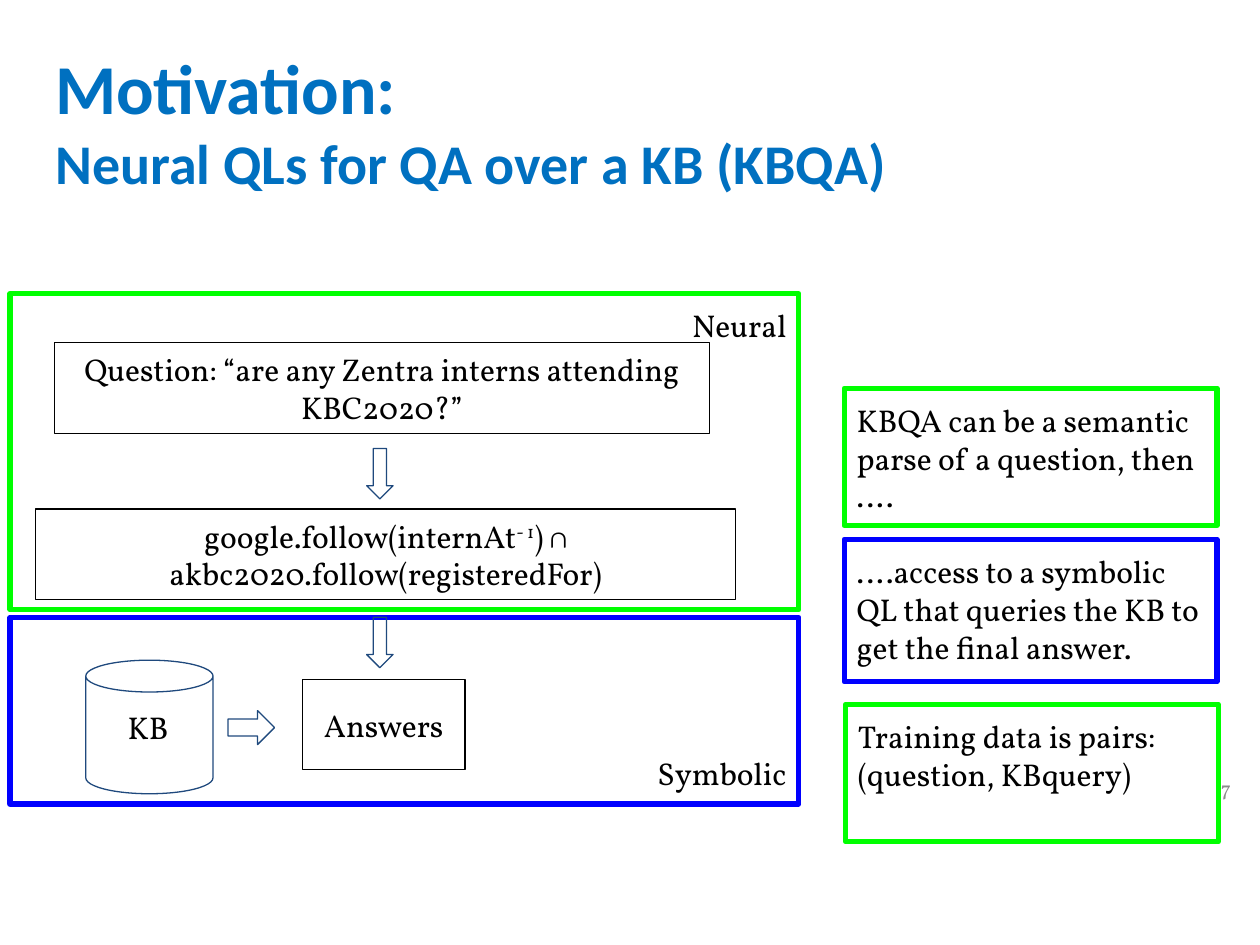
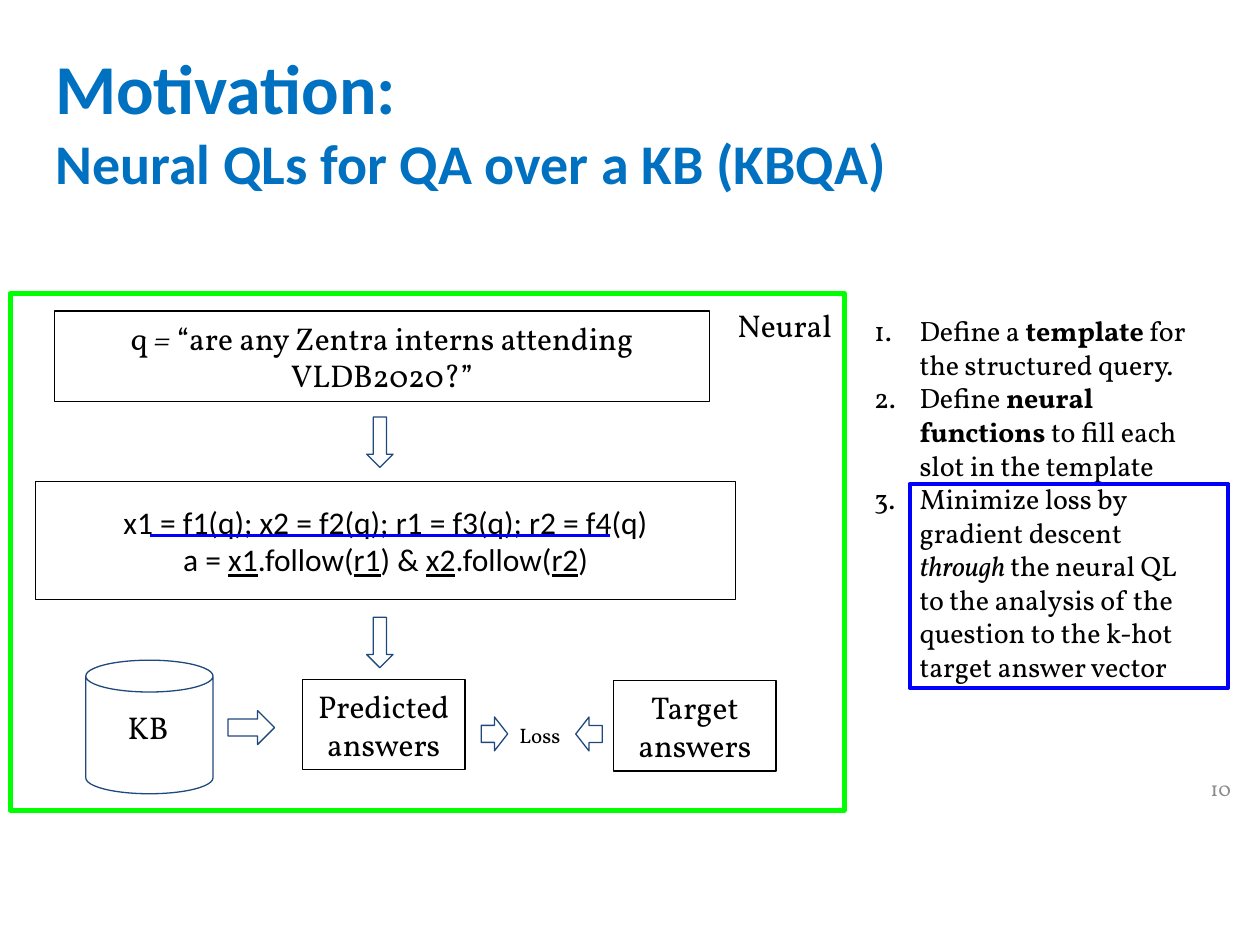
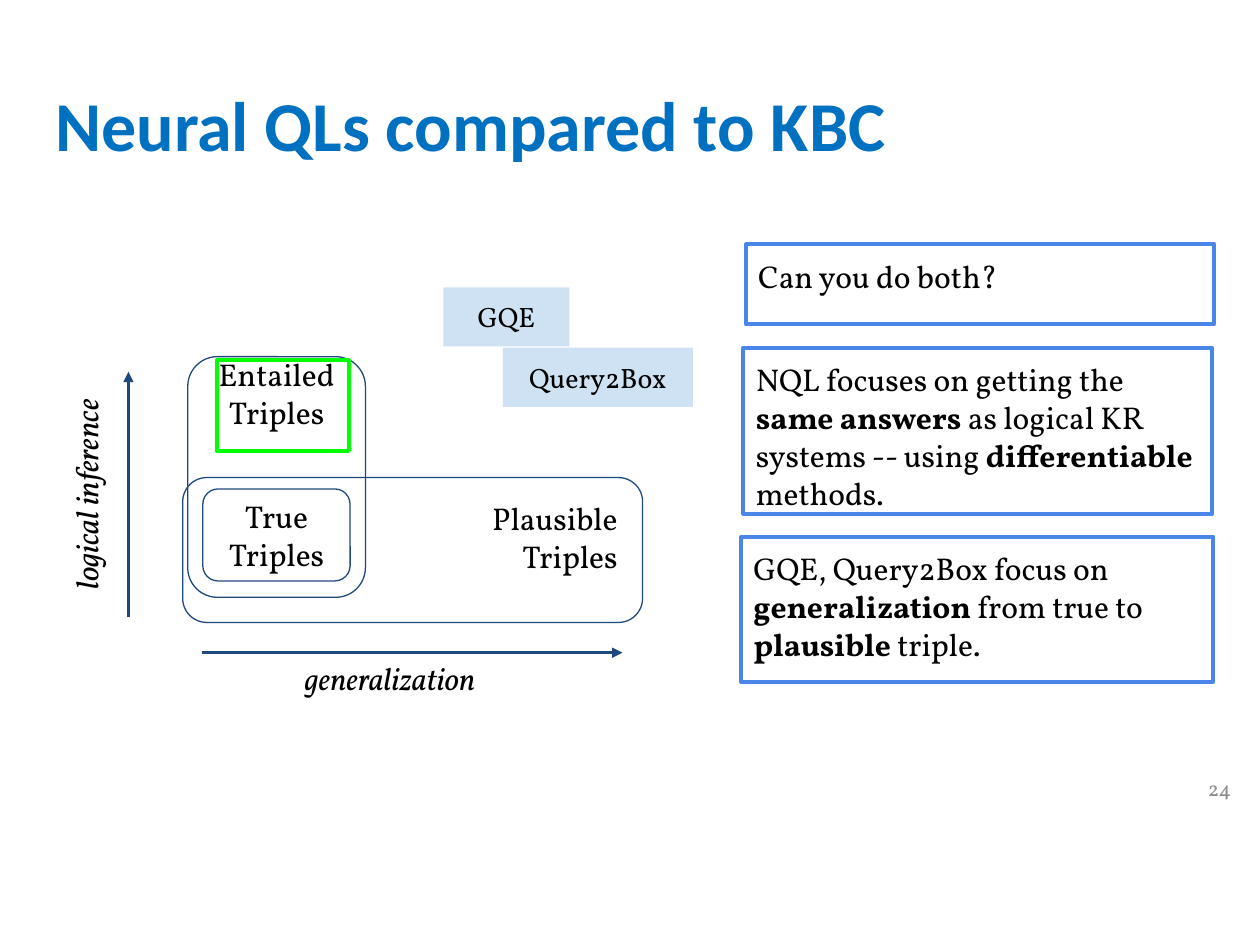
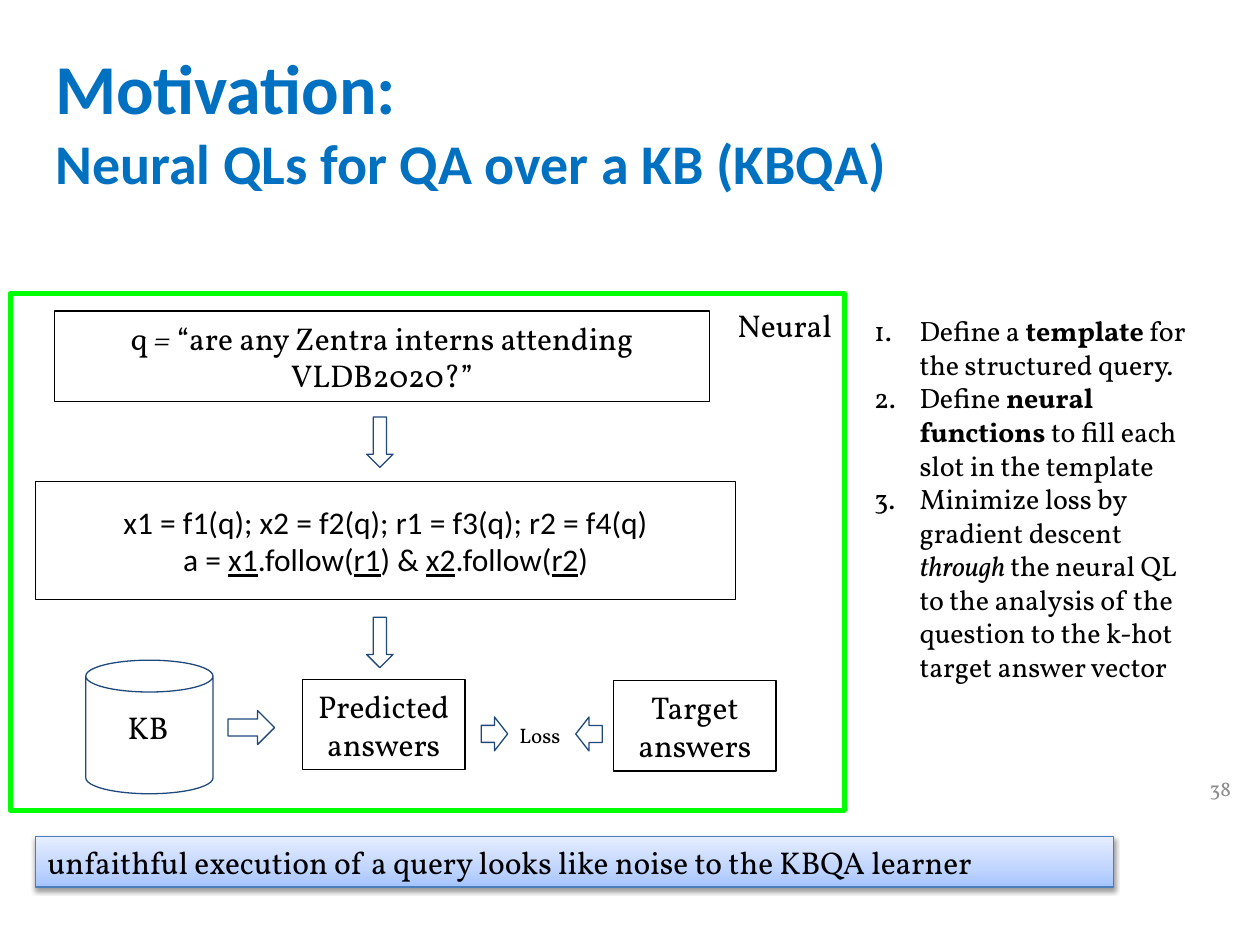
from dataclasses import dataclass
from typing import NamedTuple, Optional

from lxml import etree
from pptx import Presentation
from pptx.dml.color import RGBColor
from pptx.enum.shapes import MSO_CONNECTOR, MSO_SHAPE
from pptx.enum.text import MSO_ANCHOR, PP_ALIGN
from pptx.oxml.ns import qn
from pptx.util import Pt

BLACK = RGBColor(0x00, 0x00, 0x00)
TITLE_BLUE = RGBColor(0x00, 0x70, 0xC0)
NAVY = RGBColor(0x1F, 0x49, 0x7D)
GREEN = RGBColor(0x00, 0xFF, 0x00)
BLUE = RGBColor(0x00, 0x00, 0xFF)
CORNFLOWER = RGBColor(0x4A, 0x86, 0xE8)
PALE_BLUE = RGBColor(0xCF, 0xE2, 0xF3)
GREY = RGBColor(0x8C, 0x8C, 0x8C)
BANNER_LINE = RGBColor(0x4B, 0x7E, 0xBC)
BANNER_STOPS = (
    (0, RGBColor(0xA4, 0xC4, 0xFF)),
    (35, RGBColor(0xBF, 0xD4, 0xFF)),
    (100, RGBColor(0xE6, 0xEE, 0xFF)),
)

HEAD_FONT = "Calibri"
BODY_FONT = "Vollkorn"
INSET = 7.2
THIN, MEDIUM, THICK = 0.75, 2.25, 3

LEFT, CENTER, RIGHT = PP_ALIGN.LEFT, PP_ALIGN.CENTER, PP_ALIGN.RIGHT
TOP, MIDDLE, BOTTOM = MSO_ANCHOR.TOP, MSO_ANCHOR.MIDDLE, MSO_ANCHOR.BOTTOM
RECT, ROUND = MSO_SHAPE.RECTANGLE, MSO_SHAPE.ROUNDED_RECTANGLE
DOWN, ACROSS = MSO_SHAPE.DOWN_ARROW, MSO_SHAPE.RIGHT_ARROW


class Box(NamedTuple):
    """Left, top, width and height in points."""
    x: float
    y: float
    w: float
    h: float

    def lengths(self):
        return [Pt(v) for v in self]


@dataclass(frozen=True)
class Run:
    text: str
    bold: bool = False
    italic: bool = False
    underline: bool = False
    raised: bool = False
    size: Optional[float] = None


@dataclass(frozen=True)
class Panel:
    """An outlined rectangle with its paragraphs."""
    box: Box
    line: RGBColor
    paragraphs: tuple
    width: float = THICK
    align: PP_ALIGN = LEFT
    anchor: MSO_ANCHOR = TOP
    font: str = BODY_FONT


BREAK = Run("\n")
TITLE_BOX = Box(24.5, 18, 671, 106.6)
PAGE_BOX = Box(667.4, 434.9, 43.2, 31)
MOTIVATION = (Run("Motivation:"), BREAK,
              Run("Neural QLs for QA over a KB (KBQA)", size=32))
FLOW_X = 209.5
LOWER_ARROW_Y = 352.8
ANSWER_BOX = Box(172.8, 388.1, 92.9, 51.8)

STEPS = (
    ("Define a ", Run("template", bold=True), " for the structured query."),
    ("Define ", Run("neural functions", bold=True),
     " to fill each slot in the template"),
    ("Minimize loss by gradient descent ", Run("through ", italic=True),
     "the neural QL to the analysis of the question to the k-hot target answer vector"),
)


def write(sp, paragraphs: tuple, *, size: float = 18, font: str = BODY_FONT,
          color: RGBColor = BLACK, bold: bool = False, italic: bool = False,
          align: PP_ALIGN = LEFT, anchor: MSO_ANCHOR = TOP,
          inset_y: float = INSET, numbered: bool = False) -> None:
    """Fill a shape; each paragraph is a string or a tuple of strings and Runs."""
    tf = sp.text_frame
    tf.word_wrap = True
    tf.vertical_anchor = anchor
    tf.margin_left = tf.margin_right = Pt(INSET)
    tf.margin_top = tf.margin_bottom = Pt(inset_y)
    for i, parts in enumerate(paragraphs):
        p = tf.paragraphs[0] if i == 0 else tf.add_paragraph()
        p.alignment = align
        if numbered:
            pPr = p._p.get_or_add_pPr()
            pPr.set("marL", str(Pt(36)))
            pPr.set("indent", str(-Pt(25.9)))
            etree.SubElement(pPr, qn("a:buAutoNum"), type="arabicPeriod")
        for part in (parts,) if isinstance(parts, str) else parts:
            run = Run(part) if isinstance(part, str) else part
            if run is BREAK:
                p.add_line_break()
                continue
            r = p.add_run()
            r.text = run.text
            f = r.font
            f.name, f.size, f.color.rgb = font, Pt(run.size or size), color
            f.bold, f.italic = bold or run.bold, italic or run.italic
            f.underline = run.underline
            if run.raised:
                r._r.get_or_add_rPr().set("baseline", "30000")


def add_label(s, box: Box, *paragraphs, rotation: float = 0, **fmt):
    sp = s.shapes.add_textbox(*box.lengths())
    sp.rotation = rotation
    write(sp, paragraphs, **fmt)
    return sp


def add_figure(s, kind: MSO_SHAPE, box: Box, line: Optional[RGBColor] = NAVY,
               width: float = THIN, fill: Optional[RGBColor] = None,
               rotation: float = 0):
    sp = s.shapes.add_shape(kind, *box.lengths())
    sp.shadow.inherit = False
    sp.rotation = rotation
    if fill is None:
        sp.fill.background()
    else:
        sp.fill.solid()
        sp.fill.fore_color.rgb = fill
    if line is None:
        sp.line.fill.background()
    else:
        sp.line.color.rgb = line
        sp.line.width = Pt(width)
    return sp


def add_panel(s, panel: Panel) -> None:
    sp = add_figure(s, RECT, panel.box, panel.line, panel.width)
    write(sp, panel.paragraphs, align=panel.align, anchor=panel.anchor,
          font=panel.font)


def add_node(s, box: Box, *paragraphs, font: str = BODY_FONT) -> None:
    """A thin black box of the query flow."""
    add_panel(s, Panel(box, BLACK, paragraphs, THIN, CENTER, MIDDLE, font))


def add_line(s, x1: float, y1: float, x2: float, y2: float, color: RGBColor,
             width: float, arrow: bool = False) -> None:
    cn = s.shapes.add_connector(MSO_CONNECTOR.STRAIGHT,
                                Pt(x1), Pt(y1), Pt(x2), Pt(y2))
    cn.line.color.rgb = color
    cn.line.width = Pt(width)
    if arrow:
        etree.SubElement(cn.line._get_or_add_ln(), qn("a:tailEnd"), type="triangle")
    etree.SubElement(cn._element.spPr, qn("a:effectLst"))


def add_title(s, parts, box: Box = TITLE_BOX) -> None:
    add_label(s, box, parts, size=40, font=HEAD_FONT, color=TITLE_BLUE, bold=True)


def add_page_number(s, number: int) -> None:
    add_label(s, PAGE_BOX, str(number), size=12, color=GREY, align=RIGHT,
              anchor=MIDDLE)


def add_down_arrow(s, y: float) -> None:
    add_figure(s, DOWN, Box(FLOW_X, y, 15.1, 28.8))


def add_knowledge_base(s) -> None:
    add_figure(s, MSO_SHAPE.CAN, Box(49, 377.3, 72.7, 76.3))
    add_figure(s, ACROSS, Box(130.3, 406.1, 26.6, 19.4))
    add_label(s, Box(54.7, 389.5, 59.8, 51.8), "KB", align=CENTER, anchor=MIDDLE)


def add_learning_flow(s) -> None:
    """The fully neural pipeline with its loss, and the numbered steps."""
    add_panel(s, Panel(Box(5.8, 167.8, 476.6, 295.2), GREEN, ("Neural",), align=RIGHT))
    add_label(s, Box(482.4, 172.1, 213.1, 232.6), *STEPS, size=16, numbered=True)
    add_node(s, Box(31, 177.8, 374.4, 51.8),
             ("q", Run(" =", italic=True),
              " “are any Zentra interns attending VLDB2020?”"))
    add_down_arrow(s, 238.3)
    x1, x2, r1, r2 = (Run(v, underline=True) for v in ("x1", "x2", "r1", "r2"))
    add_node(s, Box(20.2, 275, 400.3, 67.7),
             "x1 = f1(q); x2 = f2(q); r1 = f3(q); r2 = f4(q)",
             ("a = ", x1, ".follow(", r1, ") & ", x2, ".follow(", r2, ")"),
             font=HEAD_FONT)
    add_knowledge_base(s)
    add_node(s, ANSWER_BOX, "Predicted answers")
    add_down_arrow(s, LOWER_ARROW_Y)
    add_node(s, Box(350.6, 388.8, 92.9, 51.8), "Target answers")
    for x, rotation in ((275, 0), (329, 180)):
        add_figure(s, ACROSS, Box(x, 409.7, 15.1, 19.4), rotation=rotation)
    add_label(s, Box(287.3, 405.4, 42.5, 28.8), "Loss", size=12, align=CENTER)


def add_banner(s, text: str) -> None:
    """A strip with a three-stop gradient and a soft shadow below."""
    sp = add_figure(s, RECT, Box(20.2, 478.1, 616.3, 28.8), BANNER_LINE)
    sp.fill.gradient()
    sp.fill.gradient_angle = 90
    spPr = sp._element.spPr
    stops = spPr.find(qn("a:gradFill")).find(qn("a:gsLst"))
    stops.clear()
    for percent, color in BANNER_STOPS:
        gs = etree.SubElement(stops, qn("a:gs"), pos=str(percent * 1000))
        etree.SubElement(gs, qn("a:srgbClr"), val=str(color))
    shadow = etree.SubElement(spPr.find(qn("a:effectLst")), qn("a:outerShdw"),
                              blurRad=str(Pt(3.1)), dist=str(Pt(1.6)),
                              dir="5400000", rotWithShape="0")
    shade = etree.SubElement(shadow, qn("a:srgbClr"), val=str(BLACK))
    etree.SubElement(shade, qn("a:alpha"), val="38000")
    write(sp, (text,), inset_y=3.6)


def build_symbolic_slide(s) -> None:
    frame_x, frame_w = 5.8, 450.7
    add_panel(s, Panel(Box(frame_x, 167.8, frame_w, 180.7), GREEN, ("Neural",),
                       align=RIGHT))
    add_panel(s, Panel(Box(frame_x, 352.8, frame_w, 106.6), BLUE, ("Symbolic",),
                       align=RIGHT, anchor=BOTTOM))
    add_title(s, MOTIVATION)
    add_node(s, Box(31, 195.8, 374.4, 51.8),
             "Question: “are any Zentra interns attending KBC2020?”")
    add_down_arrow(s, 256.3)
    add_knowledge_base(s)
    add_node(s, ANSWER_BOX, "Answers")
    add_down_arrow(s, LOWER_ARROW_Y)
    add_node(s, Box(20.2, 290.9, 400.3, 51.8),
             ("google.follow(internAt", Run("- 1", raised=True),
              ") ∩ akbc2020.follow(registeredFor)"))
    add_page_number(s, 7)
    for panel in (
        Panel(Box(482.4, 221.8, 213.1, 78.5), GREEN,
              ("KBQA can be a semantic parse of a question, then ….",)),
        Panel(Box(482.4, 308.2, 213.1, 81.4), BLUE,
              ("….access to a symbolic QL that queries the KB to get the final answer.",)),
        Panel(Box(483.1, 402.5, 213.1, 78.5), GREEN,
              ("Training data is pairs:", "(question, KBquery)")),
    ):
        add_panel(s, panel)


def build_gradient_slide(s) -> None:
    add_learning_flow(s)
    add_figure(s, RECT, Box(519.8, 276.5, 182.2, 116.6), BLUE, MEDIUM)
    add_line(s, 85.7, 306, 348.5, 306, BLUE, MEDIUM)
    add_page_number(s, 10)
    add_title(s, MOTIVATION)


def build_comparison_slide(s) -> None:
    add_title(s, "Neural QLs compared to KBC", Box(24.5, 39.6, 671, 45.4))

    add_figure(s, ROUND, Box(115.9, 279.4, 84.2, 52.6))
    add_label(s, Box(115.9, 276.5, 84.2, 58.3), "True", "Triples",
              align=CENTER, anchor=MIDDLE)
    add_figure(s, ROUND, Box(104.4, 272.9, 262.8, 82.8))
    add_label(s, Box(97.2, 259.2, 262.8, 95), "Plausible", "Triples",
              align=RIGHT, anchor=MIDDLE)
    add_figure(s, ROUND, Box(107.3, 203.8, 101.5, 137.5))
    add_label(s, Box(107.3, 195.8, 101.5, 154.1), "Entailed", "Triples", align=CENTER)
    add_figure(s, RECT, Box(123.8, 205.9, 75.6, 51.8), GREEN, MEDIUM)

    add_label(s, Box(-29.5, 262.8, 153.4, 39.6), "logical inference", rotation=270,
              italic=True, align=CENTER, anchor=BOTTOM)
    add_line(s, 73.4, 352.8, 73.4, 212.4, NAVY, 1.5, arrow=True)
    add_line(s, 115.2, 373, 355.7, 373, NAVY, 1.5, arrow=True)
    add_label(s, Box(133.2, 369.4, 179.3, 40.3), "generalization", italic=True,
              align=CENTER)

    for name, box in (("GQE", Box(253.4, 164.2, 72, 33.8)),
                      ("Query2Box", Box(287.3, 198.7, 108.7, 33.8))):
        write(add_figure(s, RECT, box, line=None, fill=PALE_BLUE), (name,),
              size=16, align=CENTER)

    for box, parts in (
        (Box(426.2, 139.7, 267.8, 45.4), "Can you do both?"),
        (Box(424.8, 198.7, 267.8, 95),
         ("NQL focuses on getting the ", Run("same answers ", bold=True),
          "as logical KR systems -- using", Run(" differentiable", bold=True),
          " methods.")),
        (Box(423.4, 306.7, 270, 82.8),
         ("GQE, Query2Box focus on ", Run("generalization", bold=True),
          " from true to ", Run("plausible", bold=True), " triple.")),
    ):
        add_panel(s, Panel(box, CORNFLOWER, (parts,), MEDIUM))
    add_page_number(s, 24)


def build_noise_slide(s) -> None:
    add_learning_flow(s)
    add_page_number(s, 38)
    add_title(s, MOTIVATION)
    add_banner(s, "unfaithful execution of a query looks like noise to the KBQA learner")


def main() -> None:
    prs = Presentation()
    prs.slide_width, prs.slide_height = Pt(720), Pt(540)
    blank = prs.slide_layouts[6]
    for build in (build_symbolic_slide, build_gradient_slide,
                  build_comparison_slide, build_noise_slide):
        build(prs.slides.add_slide(blank))
    prs.save("out.pptx")


if __name__ == "__main__":
    main()
